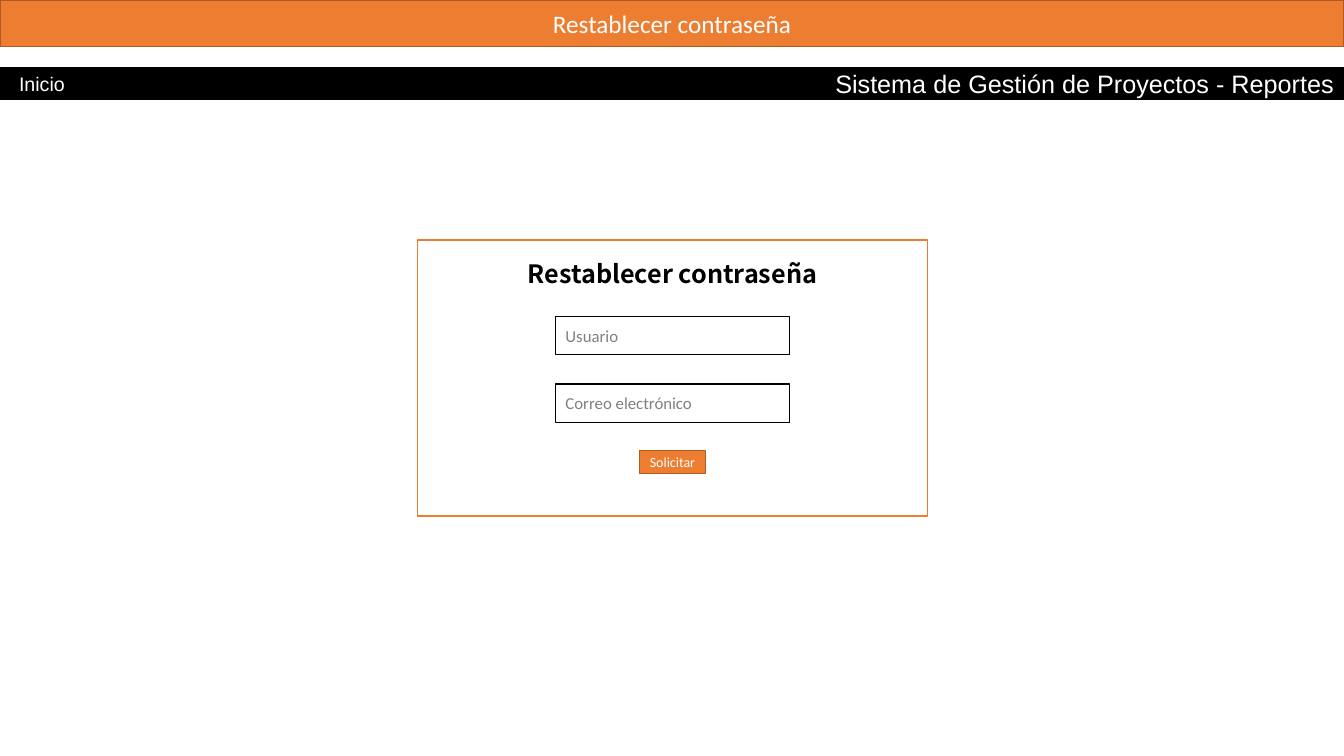
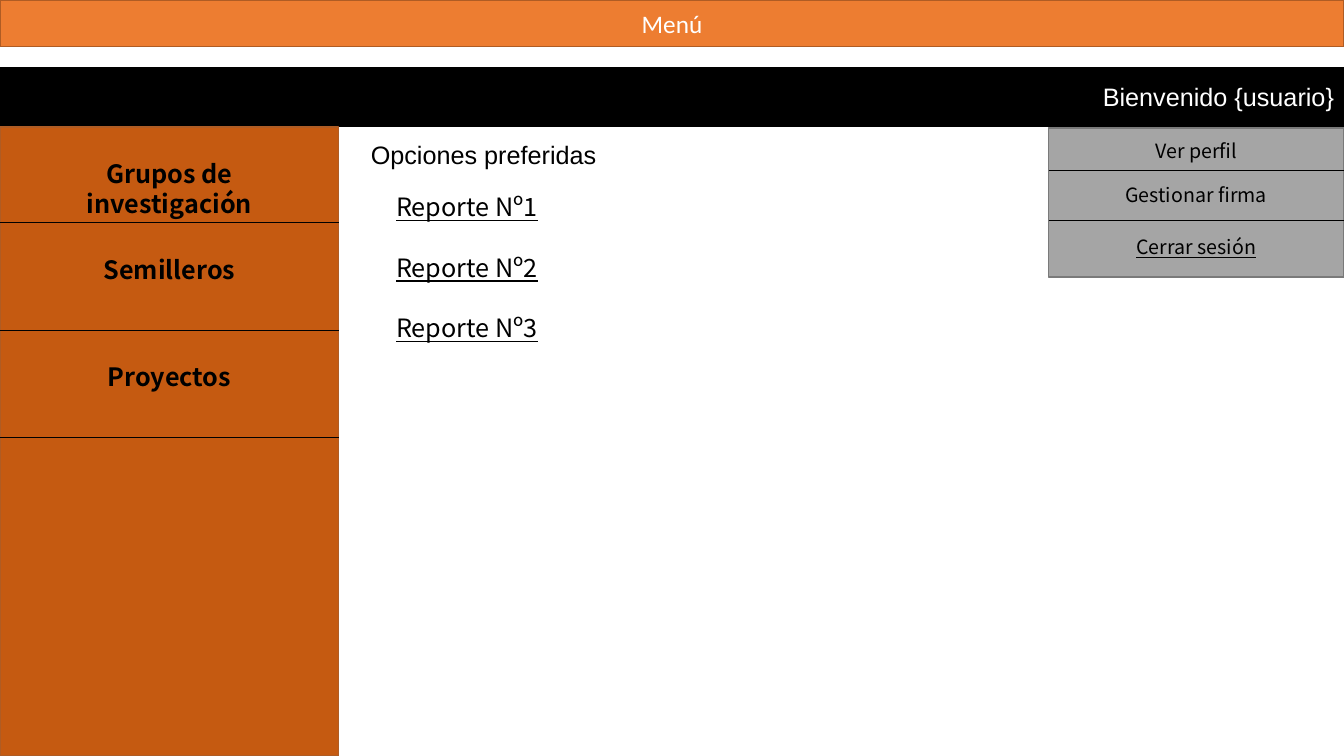
from lxml import etree
from pptx import Presentation
from pptx.dml.color import RGBColor
from pptx.enum.shapes import MSO_CONNECTOR, MSO_SHAPE
from pptx.enum.text import MSO_ANCHOR, MSO_AUTO_SIZE, PP_ALIGN
from pptx.oxml.ns import qn
from pptx.util import Inches, Pt

RECTANGLE = MSO_SHAPE.RECTANGLE
STRAIGHT = MSO_CONNECTOR.STRAIGHT
LEFT, CENTER, RIGHT = PP_ALIGN.LEFT, PP_ALIGN.CENTER, PP_ALIGN.RIGHT
TOP, MIDDLE = MSO_ANCHOR.TOP, MSO_ANCHOR.MIDDLE
NO_AUTOFIT = MSO_AUTO_SIZE.NONE

COLORS = {
    "white": "FFFFFF",
    "black": "000000",
    "orange": "ED7D31",
    "orange_edge": "AF5C24",
    "sidebar": "C55A11",
    "menu": "A5A5A5",
    "menu_edge": "7A7A7A",
    "hint": "808080",
}
ARIAL, CALIBRI, NOTO = "Arial", "Calibri", "Noto Sans CJK SC"
PAGE_WIDTH, PAGE_HEIGHT = 13.33, 7.5
TITLE_ONLY, TITLE_AND_CONTENT = 5, 1


def color(name):
    return RGBColor.from_string(COLORS[name])


def place(shape, left, top, width, height):
    shape.left, shape.top = Inches(left), Inches(top)
    shape.width, shape.height = Inches(width), Inches(height)


def paint(shape, fill, edge):
    shape.fill.solid()
    shape.fill.fore_color.rgb = color(fill)
    shape.line.color.rgb = color(edge)
    shape.line.width = Pt(1)


def write(shape, text, font=NOTO, size=18, ink="black", align=LEFT,
          anchor=TOP, bold=False, underline=False):
    frame = shape.text_frame
    frame.word_wrap = True
    frame.auto_size = NO_AUTOFIT
    frame.vertical_anchor = anchor
    frame.text = text
    for para in frame.paragraphs:
        para.alignment = align
        for span in para.runs:
            span.font.name = font
            span.font.size = Pt(size)
            span.font.color.rgb = color(ink)
            span.font.bold = bold
            span.font.underline = underline


def add_box(page, bounds, fill, edge, text="", **style):
    box = page.shapes.add_shape(RECTANGLE, *map(Inches, bounds))
    box.shadow.inherit = False
    paint(box, fill, edge)
    if text:
        write(box, text, anchor=MIDDLE, **style)


def add_label(page, bounds, text, **style):
    write(page.shapes.add_textbox(*map(Inches, bounds)), text, **style)


def add_divider(page, left, top, width):
    line = page.shapes.add_connector(
        STRAIGHT, Inches(left), Inches(top), Inches(left + width), Inches(top))
    line.line.color.rgb = color("black")
    line.line.width = Pt(0.5)
    etree.SubElement(line._element.spPr, qn("a:effectLst"))


def add_page(deck, layout, title):
    page = deck.slides.add_slide(deck.slide_layouts[layout])
    band = page.shapes.title
    place(band, 0, 0, PAGE_WIDTH, 0.46)
    paint(band, "orange", "orange_edge")
    write(band, title, font=CALIBRI, ink="white", align=CENTER, anchor=MIDDLE)
    return page


def add_header(page, height, text):
    add_box(page, (0, 0.67, PAGE_WIDTH, height), "black", "black", text,
            font=ARIAL, ink="white", align=RIGHT)


def add_menu(page, bounds, fill, edge, dividers, entries, **style):
    left, _, width, _ = bounds
    add_box(page, bounds, fill, edge)
    for top in dividers:
        add_divider(page, left, top, width)
    for text, top, underline in entries:
        add_label(page, (left + 0.15, top, width - 0.3, 0.4), text,
                  align=CENTER, underline=underline, **style)


def fill_list(body, bounds, items, gap, **style):
    place(body, *bounds)
    write(body, "\n".join(items), **style)
    for para in body.text_frame.paragraphs:
        para.space_before = Pt(0)
        para.space_after = Pt(gap)
        properties = para._p.get_or_add_pPr()
        properties.set("marL", "0")
        properties.set("indent", "0")
        etree.SubElement(properties, qn("a:buNone"))


def build_reset_page(deck):
    page = add_page(deck, TITLE_ONLY, "Restablecer contraseña")
    add_header(page, 0.32, "Sistema de Gestión de Proyectos - Reportes")
    add_label(page, (0.09, 0.66, 8.21, 0.34), "Inicio",
              font=ARIAL, size=14, ink="white")
    add_box(page, (4.14, 2.38, 5.06, 2.74), "white", "orange")
    add_label(page, (4.73, 2.51, 3.88, 0.4), "Restablecer contraseña",
              align=CENTER, bold=True)
    for row, hint in enumerate(("Usuario", "Correo electrónico")):
        add_box(page, (5.51, 3.14 + 0.67 * row, 2.32, 0.38), "white", "black",
                hint, font=CALIBRI, size=12, ink="hint")
    add_box(page, (6.34, 4.47, 0.66, 0.23), "orange", "orange_edge",
            "Solicitar", font=CALIBRI, size=10, ink="white", align=CENTER)


def build_menu_page(deck):
    page = add_page(deck, TITLE_AND_CONTENT, "Menú")
    add_header(page, 0.58, "Bienvenido {usuario}")
    add_menu(page, (0, 1.26, 3.36, PAGE_HEIGHT - 1.26),
             "sidebar", "orange_edge", (2.21, 3.28, 4.34),
             (("Grupos de investigación", 1.52, False),
              ("Semilleros", 2.47, False),
              ("Proyectos", 3.54, False)), bold=True)
    add_menu(page, (10.4, 1.27, 2.93, 1.48),
             "menu", "menu_edge", (1.69, 2.19),
             (("Ver perfil", 1.33, False),
              ("Gestionar firma", 1.77, False),
              ("Cerrar sesión", 2.28, True)), size=14)
    add_label(page, (3.58, 1.33, 4.26, 0.4), "Opciones preferidas", font=ARIAL)
    fill_list(page.placeholders[1], (3.83, 1.85, 3.36, 1.62),
              [f"Reporte Nº{number}" for number in range(1, 4)],
              gap=21.6, underline=True)


def main():
    deck = Presentation()
    deck.slide_width = Inches(PAGE_WIDTH)
    deck.slide_height = Inches(PAGE_HEIGHT)
    build_reset_page(deck)
    build_menu_page(deck)
    deck.save("out.pptx")


main()
